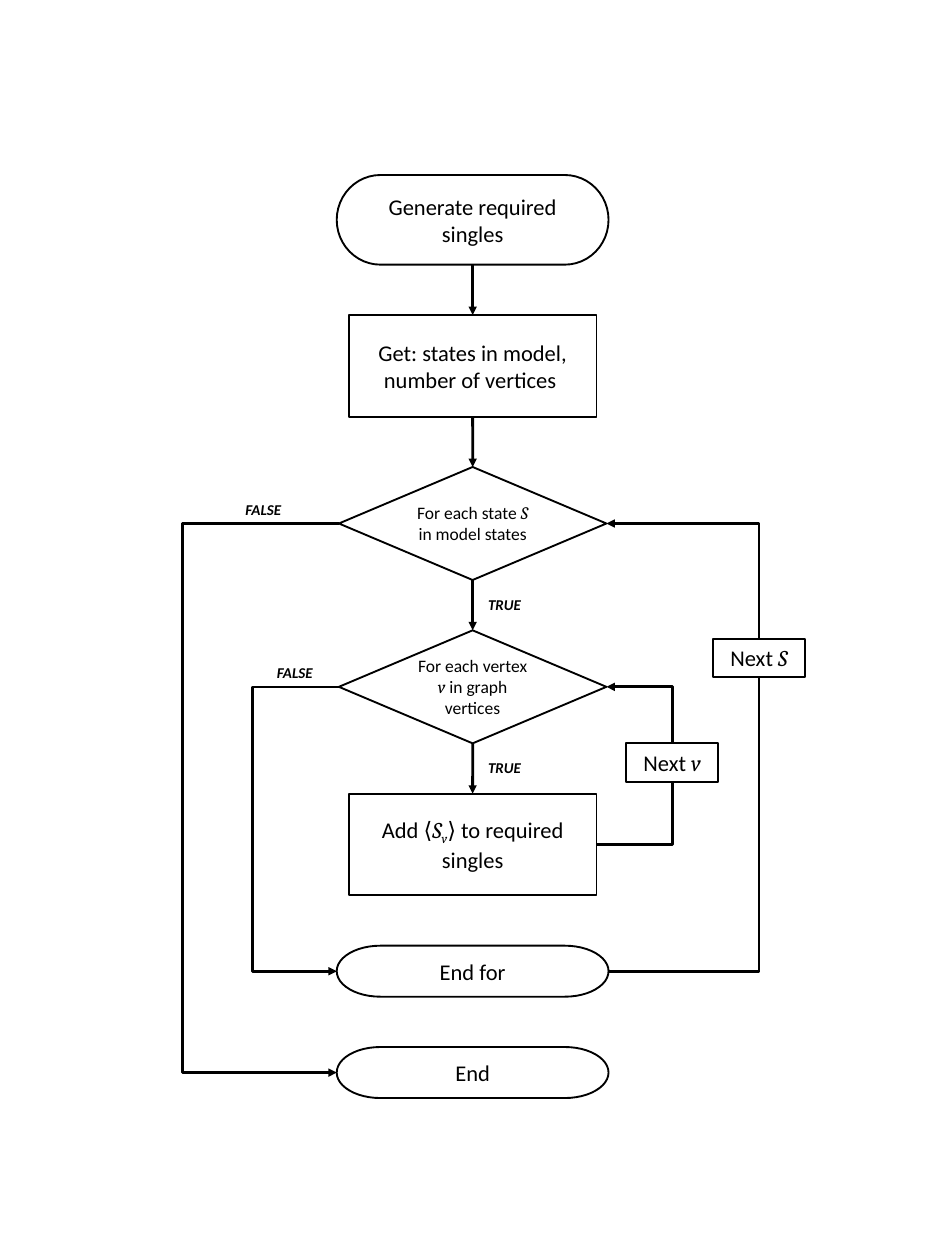
from lxml.etree import SubElement
from pptx import Presentation
from pptx.dml.color import RGBColor
from pptx.enum.shapes import MSO_CONNECTOR, MSO_SHAPE
from pptx.enum.text import MSO_ANCHOR, PP_ALIGN
from pptx.oxml.ns import qn
from pptx.util import Cm, Pt

BLACK = RGBColor(0, 0, 0)
WHITE = RGBColor(255, 255, 255)
TOP, LEFT, BOTTOM, RIGHT = range(4)


def write(paragraph, text, size=18, font="Calibri", bold=False, italic=False, baseline=0):
    run = paragraph.add_run()
    run.text = text
    run.font.size = Pt(size)
    run.font.name = font
    run.font.bold = bold
    run.font.italic = italic
    run.font.color.rgb = BLACK
    if baseline:
        run.font._element.set("baseline", str(baseline * 1000))


class Flowchart:
    outline = Pt(1.5)
    arrow = Pt(2.25)
    symbol = {"font": "Cambria", "italic": True}

    def __init__(self, slide):
        self.slide = slide

    def node(self, kind, left, top, width, height, parts, fill=WHITE, outlined=True, **style):
        node = self.slide.shapes.add_shape(kind, Cm(left), Cm(top), Cm(width), Cm(height))
        node.shadow.inherit = False
        if fill is None:
            node.fill.background()
        else:
            node.fill.solid()
            node.fill.fore_color.rgb = fill
        if outlined:
            node.line.color.rgb = BLACK
            node.line.width = self.outline
        else:
            node.line.fill.background()
        frame = node.text_frame
        frame.word_wrap = True
        frame.vertical_anchor = MSO_ANCHOR.MIDDLE
        paragraph = frame.paragraphs[0]
        paragraph.alignment = PP_ALIGN.CENTER
        for text, extra in parts:
            write(paragraph, text, **{**style, **extra})
        return node

    def label(self, text, left, top):
        self.node(MSO_SHAPE.FLOWCHART_PROCESS, left, top, 1.8, 0.81, [(text, {})],
                  fill=None, outlined=False, size=12, bold=True, italic=True)

    def link(self, source, source_site, target, target_site,
             kind=MSO_CONNECTOR.STRAIGHT, head=True):
        link = self.slide.shapes.add_connector(kind, 0, 0, 0, 0)
        link.begin_connect(source, source_site)
        link.end_connect(target, target_site)
        link.line.color.rgb = BLACK
        link.line.width = self.arrow
        if head:
            SubElement(link.line._get_or_add_ln(), qn("a:tailEnd"), type="triangle")
        SubElement(link._element.spPr, qn("a:effectLst"))
        return link

    def elbow(self, source, source_site, target, target_site, turn=0, lane=None, head=True):
        link = self.link(source, source_site, target, target_site, MSO_CONNECTOR.ELBOW, head)
        start, end = link.begin_x, link.end_x
        left, top, width, height = link.left, link.top, link.width, link.height
        if turn == 270:
            left, top = left + (width - height) // 2, top + (height - width) // 2
            width, height = height, width
        link.left, link.top, link.width, link.height = left, top, width, height
        xfrm = link._element.spPr.find(qn("a:xfrm"))
        xfrm.attrib.pop("flipH", None)
        xfrm.set("flipV", "1")
        xfrm.set("rot", str(turn * 60000))
        geometry = link._element.spPr.find(qn("a:prstGeom"))
        if lane is None:
            geometry.set("prst", "bentConnector2")
        else:
            share = round(100000 * (start - Cm(lane)) / (start - end))
            SubElement(geometry.find(qn("a:avLst")), qn("a:gd"), name="adj1", fmla=f"val {share}")


deck = Presentation()
deck.slide_width, deck.slide_height = Cm(26.67), Cm(35.56)
chart = Flowchart(deck.slides.add_slide(deck.slide_layouts[6]))
symbol = chart.symbol

CENTRE, GAP = 13.34, 1.42
TERMINAL = (MSO_SHAPE.FLOWCHART_TERMINATOR, 7.67, None, 18)
PROCESS = (MSO_SHAPE.FLOWCHART_PROCESS, 6.99, WHITE, 18)
DECISION = (MSO_SHAPE.FLOWCHART_DECISION, 7.55, WHITE, 14)

steps = [
    (TERMINAL, 2.53, [("Generate required singles", {})]),
    (PROCESS, 2.87, [("Get: states in model, number of vertices ", {})]),
    (DECISION, 3.19, [("For each state ", {}), ("S", symbol), (" in model states", {})]),
    (DECISION, 3.19, [("For each vertex ", {}), ("v", symbol), (" in graph vertices", {})]),
    (PROCESS, 2.87, [("Add ", {}), ("⟨", {"font": "Cambria"}), ("S", symbol),
                     ("v", {**symbol, "baseline": -25}), ("⟩ ", {"font": "Cambria"}),
                     ("to required singles", {})]),
    (TERMINAL, 1.44, [("End for", {})]),
    (TERMINAL, 1.44, [("End", {})]),
]
column = []
top = 4.94
for (kind, width, fill, size), height, parts in steps:
    column.append(chart.node(kind, CENTRE - width / 2, top, width, height, parts,
                             fill=fill, size=size))
    top += height + GAP
start, inputs, each_state, each_vertex, add_single, end_for, end = column

next_vertex, next_state = [
    chart.node(MSO_SHAPE.FLOWCHART_PROCESS, middle - 1.3, top, 2.6, 1.08,
               [("Next ", {}), (name, symbol)])
    for name, middle, top in [("v", 18.97, 20.98), ("S", 21.42, 18.03)]
]

main_flow = column[:5]
for upper, lower in zip(main_flow, main_flow[1:]):
    chart.link(upper, BOTTOM, lower, TOP)

for source, counter, decision in [(add_single, next_vertex, each_vertex),
                                  (end_for, next_state, each_state)]:
    chart.elbow(source, RIGHT, counter, BOTTOM, head=False)
    chart.elbow(counter, TOP, decision, RIGHT, turn=270)

for decision, finish, lane, false_left in [(each_state, end, 5.15, 6.53),
                                           (each_vertex, end_for, 7.12, 7.42)]:
    chart.elbow(decision, LEFT, finish, LEFT, turn=180, lane=lane)
    chart.label("FALSE", false_left, (decision.top + decision.height / 2) / Cm(1) - 0.81)
    chart.label("TRUE", CENTRE, (decision.top + decision.height) / Cm(1) + 0.29)

deck.save("out.pptx")
